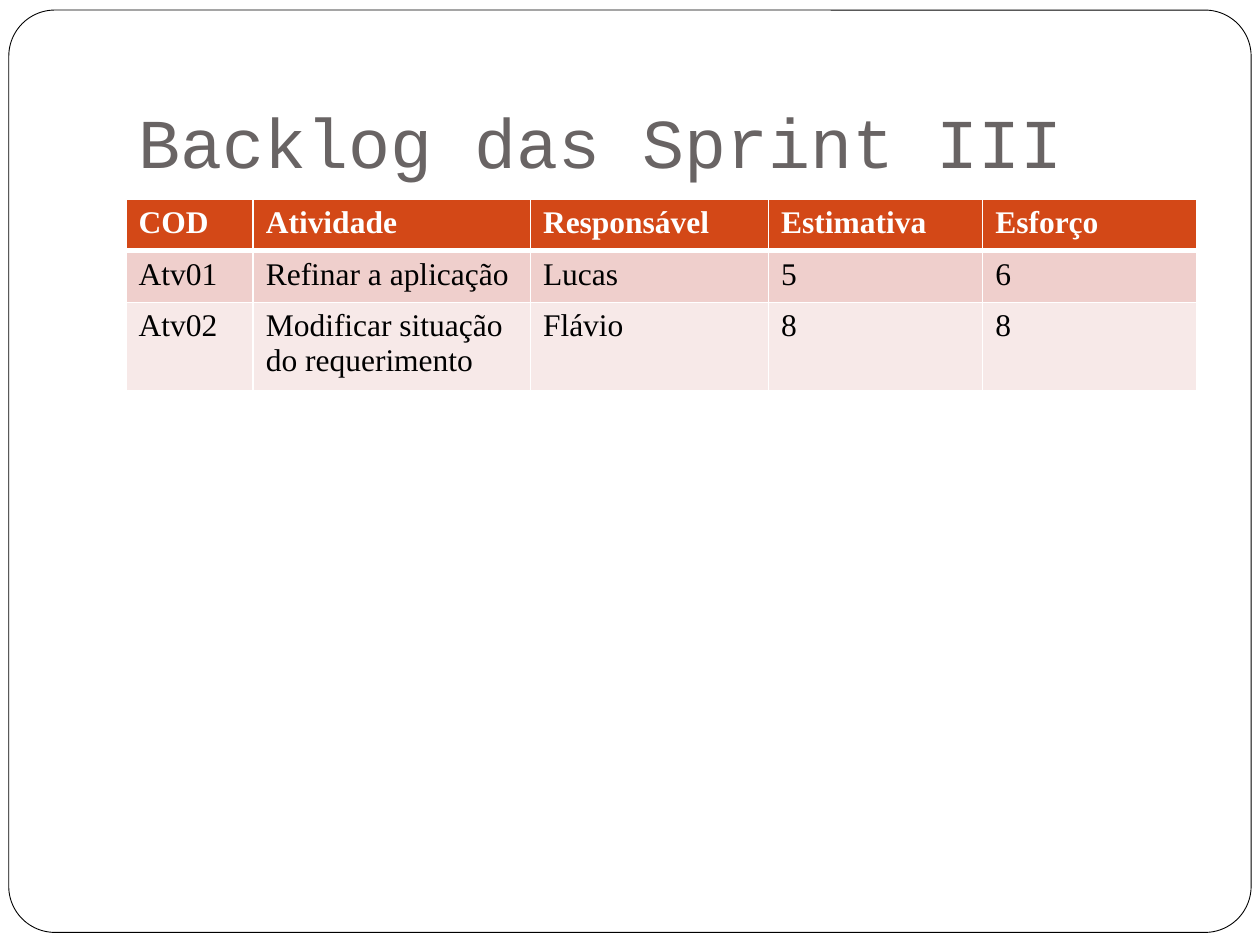
from dataclasses import dataclass

from lxml.etree import SubElement
from pptx import Presentation
from pptx.dml.color import RGBColor as RGB
from pptx.enum.shapes import MSO_SHAPE as Shape
from pptx.enum.text import MSO_ANCHOR as Anchor
from pptx.oxml.ns import qn
from pptx.util import Inches, Pt

GRID_COLS, GRID_ROWS = 100, 75


@dataclass(frozen=True)
class Theme:
    paper: str = "FFFFFF"
    ink: str = "000000"
    title: str = "696464"
    header: str = "D34817"
    bands: tuple = ("EFCFCC", "F7E9E8")
    title_font: str = "Courier New"
    body_font: str = "Times New Roman"
    title_size: int = 40
    body_size: int = 18


class SlideBuilder:
    def __init__(self, prs, theme):
        self.theme = theme
        self.s = prs.slides.add_slide(prs.slide_layouts[6])
        self.col = prs.slide_width / GRID_COLS
        self.row = prs.slide_height / GRID_ROWS

    def box(self, x, y, w, h):
        return [round(v) for v in (x * self.col, y * self.row,
                                   w * self.col, h * self.row)]

    def add_text(self, tf, text, color, **font):
        r = tf.paragraphs[0].add_run()
        r.text = text
        for name, value in font.items():
            setattr(r.font, name, value)
        r.font.color.rgb = RGB.from_string(color)

    def frame(self, *at):
        sp = self.s.shapes.add_shape(Shape.ROUNDED_RECTANGLE, *self.box(*at))
        sp.adjustments[0] = 0.05
        sp.shadow.inherit = False
        sp.fill.solid()
        sp.fill.fore_color.rgb = RGB.from_string(self.theme.paper)
        sp.line.color.rgb = RGB.from_string(self.theme.ink)
        sp.line.width = Pt(0.5)

    def title(self, text, *at):
        t = self.theme
        tf = self.s.shapes.add_textbox(*self.box(*at)).text_frame
        layout = {"word_wrap": True, "vertical_anchor": Anchor.BOTTOM,
                  "margin_bottom": Inches(0.1)}
        for name, value in layout.items():
            setattr(tf, name, value)
        self.add_text(tf, text, t.title, name=t.title_font,
                      size=Pt(t.title_size))

    def border(self, cell, **widths):
        tcPr = cell._tc.get_or_add_tcPr()
        # Borders must come before the fill in the cell properties
        for i, (side, width) in enumerate(widths.items()):
            ln = SubElement(tcPr, qn(f"a:ln{side}"), w=str(Pt(width)))
            color = SubElement(ln, qn("a:solidFill"))
            SubElement(color, qn("a:srgbClr"), val=self.theme.paper)
            tcPr.insert(i, ln)

    def table(self, rows, widths, row_height, x, y):
        t = self.theme
        at = self.box(x, y, sum(widths), row_height * len(rows))
        table = self.s.shapes.add_table(len(rows), len(widths), *at).table
        for column, width in zip(table.columns, widths):
            column.width = round(width * self.col)
        for i, values in enumerate(rows):
            table.rows[i].height = round(row_height * self.row)
            header = i == 0
            fill = t.header if header else t.bands[(i - 1) % len(t.bands)]
            for j, value in enumerate(values):
                cell = table.cell(i, j)
                cell.fill.solid()
                cell.fill.fore_color.rgb = RGB.from_string(fill)
                self.border(cell, L=1, R=1, T=3 if i == 1 else 1,
                            B=3 if header else 1)
                self.add_text(cell.text_frame, value,
                              t.paper if header else t.ink,
                              name=t.body_font, size=Pt(t.body_size),
                              bold=header)


def main():
    prs = Presentation()
    prs.slide_width, prs.slide_height = Inches(10), Inches(7.5)
    slide = SlideBuilder(prs, Theme())

    # Page frame and heading
    slide.frame(0.7, 0.8, 98.6, 73.2)
    slide.title("Backlog das Sprint III", 10, 3, 85, 12.5)

    # Sprint backlog
    backlog = [
        ("COD", "Atividade", "Responsável", "Estimativa", "Esforço"),
        ("Atv01", "Refinar a aplicação", "Lucas", "5", "6"),
        ("Atv02", "Modificar situação do requerimento", "Flávio", "8", "8"),
    ]
    slide.table(backlog, (10.1, 22, 18.9, 17, 17), 4.1, 10, 15.8)

    prs.save("out.pptx")


if __name__ == "__main__":
    main()
